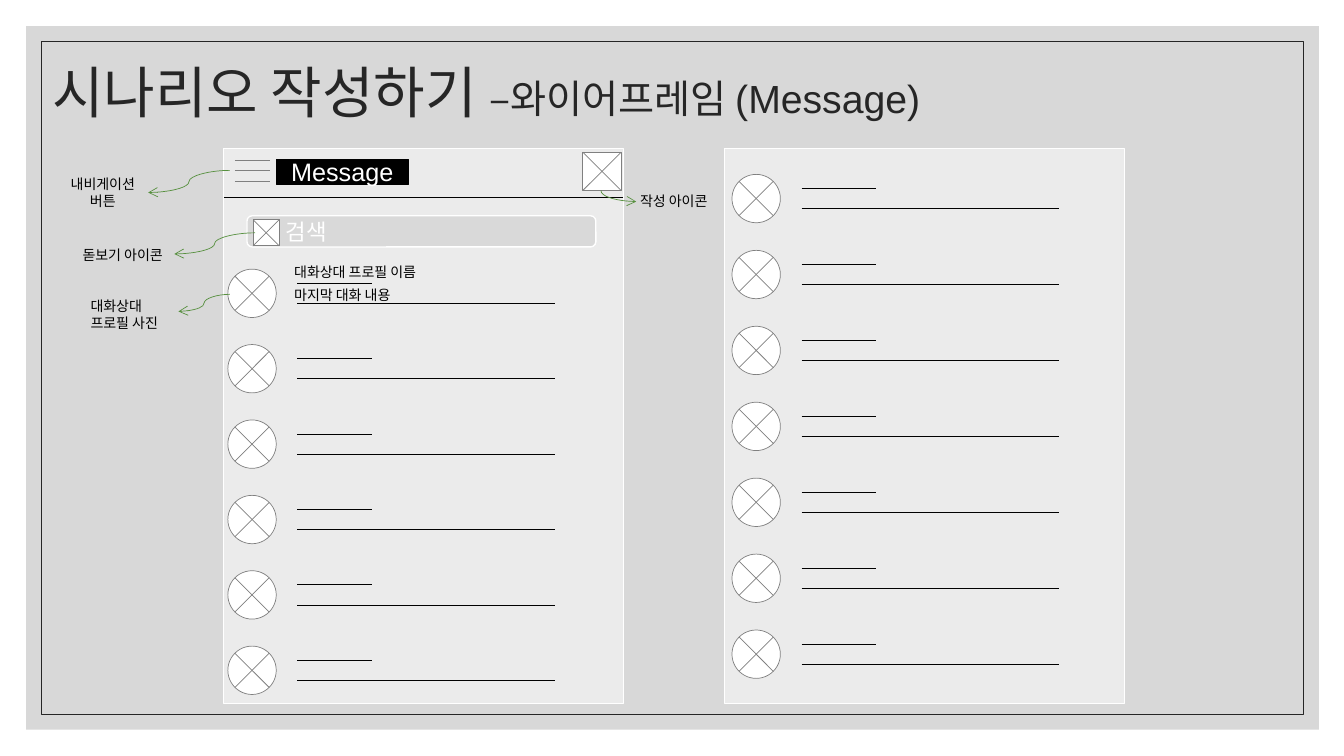
import dataclasses

import lxml.etree
import pptx
import pptx.dml.color
import pptx.enum.shapes
import pptx.enum.text
import pptx.oxml.ns
import pptx.util

Inches = pptx.util.Inches
SHAPES = pptx.enum.shapes.MSO_SHAPE
CONNECTORS = pptx.enum.shapes.MSO_CONNECTOR
ALIGN = pptx.enum.text.PP_ALIGN
ANCHOR = pptx.enum.text.MSO_ANCHOR
AUTO_SIZE = pptx.enum.text.MSO_AUTO_SIZE


@dataclasses.dataclass(frozen=True)
class Theme:
    backdrop: str = "BFBFBF"
    ink: str = "262626"
    white: str = "FFFFFF"
    black: str = "000000"
    outline: str = "808080"
    search: str = "D9D9D9"
    arrow: str = "57903F"
    title_font: str = "Arial"
    label_font: str = "Quicksand"
    title_size: int = 40
    subtitle_size: int = 28
    header_size: int = 18
    search_size: int = 16
    label_size: int = 10
    thin: float = 0.5
    panel_line: float = 0.75
    thick: float = 1


THEME = Theme()


def rgb(color):
    return pptx.dml.color.RGBColor.from_string(color)


def apply_format(target, values):
    for name, value in values.items():
        setattr(target, name, value)


def add_child(parent, tag, **attributes):
    return lxml.etree.SubElement(parent, pptx.oxml.ns.qn(tag), attributes)


def add_box(shapes, kind, box, fill=None, line=None, weight=THEME.thin, opacity=100):
    shape = shapes.add_shape(kind, *map(Inches, box))
    shape.shadow.inherit = False
    if fill:
        shape.fill.solid()
        shape.fill.fore_color.rgb = rgb(fill)
        if opacity < 100:
            color = shape.fill._xPr.find(".//" + pptx.oxml.ns.qn("a:srgbClr"))
            add_child(color, "a:alpha", val=str(opacity * 1000))
    else:
        shape.fill.background()
    if line:
        shape.line.color.rgb = rgb(line)
        shape.line.width = pptx.util.Pt(weight)
    else:
        shape.line.fill.background()
    return shape


def add_line(shapes, start, end, color=THEME.black, kind=CONNECTORS.STRAIGHT, arrow=False):
    connector = shapes.add_connector(kind, *map(Inches, (*start, *end)))
    connector.line.color.rgb = rgb(color)
    connector.line.width = pptx.util.Pt(THEME.thin)
    if arrow:
        add_child(connector.line._get_or_add_ln(), "a:tailEnd", type="arrow")
    add_child(connector._element.spPr, "a:effectLst")
    return connector


def add_run(paragraph, text, font, size, color):
    run = paragraph.add_run()
    run.text = text
    apply_format(run.font, {"name": font, "size": pptx.util.Pt(size)})
    run.font.color.rgb = rgb(color)


def add_cross(shapes, left, top, size):
    right, bottom = left + size, top + size
    add_line(shapes, (left, top), (right, bottom), THEME.outline)
    add_line(shapes, (left, bottom), (right, top), THEME.outline)


def add_icon(slide, left, top, size):
    shapes = slide.shapes.add_group_shape().shapes
    add_box(shapes, SHAPES.RECTANGLE, (left, top, size, size), THEME.white, THEME.outline)
    add_cross(shapes, left, top, size)


def add_chat_row(slide, left, top):
    shapes = slide.shapes.add_group_shape().shapes
    add_box(shapes, SHAPES.OVAL, (left, top, 0.48, 0.48), THEME.white, THEME.outline)
    add_cross(shapes, left + 0.07, top + 0.07, 0.34)
    for offset, length in ((0.14, 0.74), (0.34, 2.55)):
        start = left + 0.69
        add_line(shapes, (start, top + offset), (start + length, top + offset))


def add_panel(slide, box, inset, first, last, count):
    add_box(slide.shapes, SHAPES.RECTANGLE, box, THEME.white, THEME.white, THEME.panel_line, 50)
    pitch = (last - first) / (count - 1)
    for row in range(count):
        add_chat_row(slide, box[0] + inset, box[1] + first + row * pitch)


def add_header(slide, box):
    left, top, width, height = box
    menu = slide.shapes.add_group_shape().shapes
    for bar in range(3):
        y = top + 0.12 + bar * 0.105
        add_line(menu, (left + 0.11, y), (left + 0.46, y), THEME.outline)
    name = add_box(slide.shapes, SHAPES.RECTANGLE, (left + 0.52, top + 0.11, 1.31, 0.25),
                   THEME.black, THEME.black, THEME.thick)
    name.text_frame.vertical_anchor = ANCHOR.MIDDLE
    paragraph = name.text_frame.paragraphs[0]
    paragraph.alignment = ALIGN.CENTER
    add_run(paragraph, "Message", THEME.title_font, THEME.header_size, THEME.white)
    add_icon(slide, left + width - 0.4, top + 0.04, 0.38)
    add_line(slide.shapes, (left, top + height), (left + width, top + height))


def add_search(slide, box):
    left, top, width, height = box
    field = add_box(slide.shapes, SHAPES.ROUNDED_RECTANGLE, box,
                    THEME.search, THEME.white, THEME.thick)
    apply_format(field.text_frame, {"vertical_anchor": ANCHOR.MIDDLE, "margin_left": Inches(0.37)})
    paragraph = field.text_frame.paragraphs[0]
    paragraph.alignment = ALIGN.LEFT
    add_run(paragraph, "검색", THEME.label_font, THEME.search_size, THEME.white)
    add_icon(slide, left + 0.06, top + 0.04, 0.26)


def add_label(slide, box, lines, alignment=ALIGN.LEFT):
    frame = slide.shapes.add_textbox(*map(Inches, box)).text_frame
    apply_format(frame, {"word_wrap": False, "auto_size": AUTO_SIZE.SHAPE_TO_FIT_TEXT})
    for index, text in enumerate(lines):
        paragraph = frame.add_paragraph() if index else frame.paragraphs[0]
        paragraph.alignment = alignment
        add_run(paragraph, text, THEME.label_font, THEME.label_size, THEME.black)


def add_callouts(slide):
    for start, end in (((2.53, 2.31), (1.73, 2.52)), ((2.28, 2.92), (1.77, 3.09)),
                       ((2.28, 1.69), (1.47, 1.91))):
        add_line(slide.shapes, start, end, THEME.arrow, CONNECTORS.CURVE, True)
    bend = add_line(slide.shapes, (6.08, 1.77), (6.19, 2.12), THEME.arrow, CONNECTORS.CURVE, True)
    properties = bend._element.spPr
    properties.find(pptx.oxml.ns.qn("a:prstGeom")).set("prst", "curvedConnector2")
    transform = properties.find(pptx.oxml.ns.qn("a:xfrm"))
    for name, value in {"rot": "16200000", "flipH": "1"}.items():
        transform.set(name, value)
    add_label(slide, (0.72, 2.4, 1.08, 0.27), ["돋보기 아이콘"])
    add_label(slide, (6.25, 1.86, 0.94, 0.27), ["작성 아이콘"])
    add_label(slide, (0.8, 2.9, 0.94, 0.44), ["대화상대", "프로필 사진"])
    add_label(slide, (2.82, 2.57, 1.54, 0.27), ["대화상대 프로필 이름"])
    add_label(slide, (2.82, 2.79, 1.26, 0.27), ["마지막 대화 내용"])
    add_label(slide, (0.57, 1.69, 0.9, 0.44), ["내비게이션", "버튼"], ALIGN.CENTER)


def add_backdrop(slide, box):
    left, top, width, height = box
    add_box(slide.shapes, SHAPES.RECTANGLE, box, THEME.backdrop, opacity=60)
    add_box(slide.shapes, SHAPES.RECTANGLE,
            (left + 0.15, top + 0.15, width - 0.3, height - 0.3), line=THEME.ink)


def place_title(slide, box):
    title = slide.shapes.title
    apply_format(title, dict(zip(("left", "top", "width", "height"), map(Inches, box))))
    apply_format(title.text_frame, {"vertical_anchor": ANCHOR.MIDDLE, "word_wrap": True,
                                    "auto_size": AUTO_SIZE.NONE})
    paragraph = title.text_frame.paragraphs[0]
    apply_format(paragraph, {"alignment": ALIGN.LEFT, "line_spacing": 0.9})
    for text, size in (("시나리오 작성하기 ", THEME.title_size),
                       ("–와이어프레임 (Message)", THEME.subtitle_size)):
        add_run(paragraph, text, THEME.title_font, size, THEME.ink)
    slide.shapes._spTree.append(title._element)


def main():
    presentation = pptx.Presentation()
    apply_format(presentation, {"slide_width": Inches(13.33), "slide_height": Inches(7.5)})
    slide = presentation.slides.add_slide(presentation.slide_layouts[5])
    add_backdrop(slide, (0.26, 0.26, 12.82, 6.98))
    place_title(slide, (0.42, 0.42, 11, 1.05))
    add_panel(slide, (2.22, 1.47, 3.96, 5.51), 0.04, 1.2, 4.94, 6)
    add_header(slide, (2.22, 1.47, 3.96, 0.49))
    add_search(slide, (2.45, 2.14, 3.46, 0.31))
    add_panel(slide, (7.19, 1.47, 3.96, 5.51), 0.07, 0.26, 4.78, 7)
    add_callouts(slide)
    presentation.save("out.pptx")


if __name__ == "__main__":
    main()
